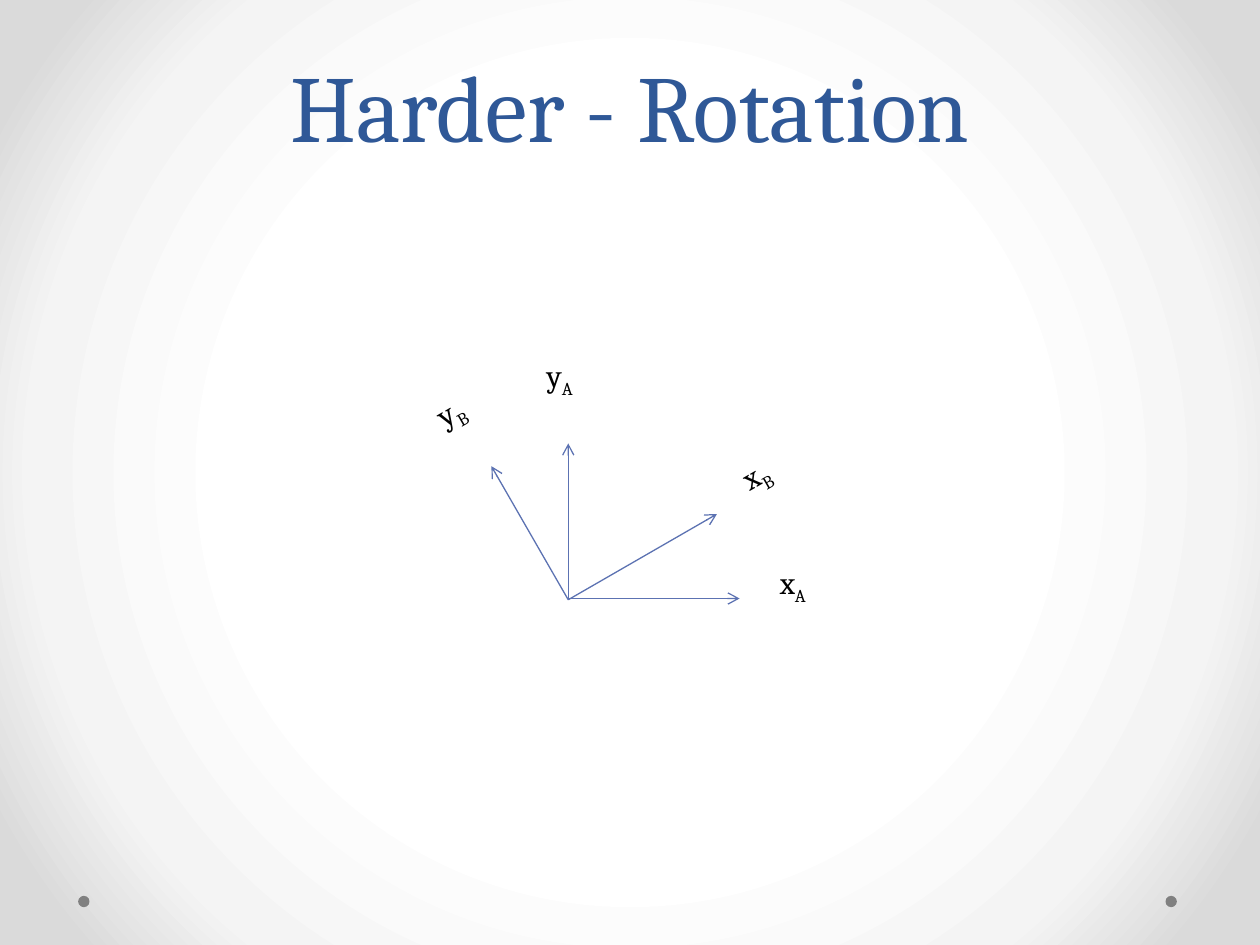
from typing import NamedTuple

from pptx import Presentation
from pptx.dml.color import RGBColor
from pptx.enum.shapes import MSO_CONNECTOR as Conn, MSO_SHAPE as Shape
from pptx.enum.text import MSO_ANCHOR as Anchor, PP_ALIGN as Align
from pptx.oxml import parse_xml
from pptx.oxml.ns import nsdecls
from pptx.oxml.xmlchemy import OxmlElement
from pptx.util import Inches, Pt

COLORS = {"title": "2F5897", "axis": "5C72B2", "label": "000000", "dot": "808080"}
BACKGROUND_STOPS = {50: "FFFFFF", 76: "F4F4F4", 92: "DADADA"}
FONT = "Cambria"


class Axis(NamedTuple):
    name: str
    frame: str
    start: tuple[float, float]
    tip: tuple[float, float]
    label_box: tuple[float, float, float, float]
    rotation: float = 0


ORIGIN_A, ORIGIN_B = (4.51, 4.75), (4.51, 4.76)
AXES = [
    Axis("y", "A", ORIGIN_A, (4.51, 3.52), (4.24, 2.78, 0.95, 0.68)),
    Axis("x", "A", ORIGIN_A, (5.87, 4.75), (6.09, 4.42, 1.22, 0.66)),
    Axis("y", "B", ORIGIN_B, (3.9, 3.7), (3.4, 2.91, 0.95, 0.68), 330),
    Axis("x", "B", ORIGIN_B, (5.69, 4.08), (5.8, 3.34, 1.22, 0.66), 330),
]


def rgb(name: str) -> RGBColor:
    return RGBColor.from_string(COLORS[name])


def set_background(s) -> None:
    stops = "".join(
        f'<a:gs pos="{pos * 1000}"><a:srgbClr val="{color}"/></a:gs>'
        for pos, color in BACKGROUND_STOPS.items()
    )
    bg = parse_xml(
        f'<p:bg {nsdecls("p", "a")}><p:bgPr><a:gradFill rotWithShape="1">'
        f'<a:gsLst>{stops}</a:gsLst><a:path path="circle">'
        '<a:fillToRect l="50000" t="50000" r="50000" b="50000"/></a:path>'
        "</a:gradFill><a:effectLst/></p:bgPr></p:bg>"
    )
    s.element.cSld.insert(0, bg)


def add_dot(s, left: float) -> None:
    sp = s.shapes.add_shape(
        Shape.OVAL, Inches(left), Inches(7.11), Inches(0.09), Inches(0.09)
    )
    sp.shadow.inherit = False
    sp.fill.solid()
    sp.fill.fore_color.rgb = rgb("dot")
    sp.line.fill.background()


def add_text_box(s, box: tuple[float, float, float, float]):
    sp = s.shapes.add_textbox(*map(Inches, box))
    sp.text_frame.word_wrap = True
    return sp


def add_run(p, text: str, size: float, color: str):
    r = p.add_run()
    r.text = text
    r.font.name = FONT
    r.font.size = Pt(size)
    r.font.color.rgb = rgb(color)
    return r


def add_title(s, text: str) -> None:
    tf = add_text_box(s, (0.5, 0, 9, 1.75)).text_frame
    tf.vertical_anchor = Anchor.MIDDLE
    p = tf.paragraphs[0]
    p.alignment = Align.CENTER
    p.line_spacing = Pt(58)
    add_run(p, text, 54, "title")


def add_arrow(s, axis: Axis) -> None:
    line = s.shapes.add_connector(
        Conn.STRAIGHT, *map(Inches, axis.start + axis.tip)
    )
    line.line.color.rgb = rgb("axis")
    line.line.width = Pt(0.75)
    head = OxmlElement("a:tailEnd")
    head.set("type", "arrow")
    line.line._get_or_add_ln().append(head)
    line._element.spPr.append(OxmlElement("a:effectLst"))


def add_axis_label(s, axis: Axis) -> None:
    sp = add_text_box(s, axis.label_box)
    sp.rotation = axis.rotation
    p = sp.text_frame.paragraphs[0]
    add_run(p, axis.name, 18, "label")
    sub = add_run(p, axis.frame, 18, "label")
    sub.font._element.set("baseline", "-25000")


def main() -> None:
    prs = Presentation()
    prs.slide_width, prs.slide_height = Inches(10), Inches(7.5)
    s = prs.slides.add_slide(prs.slide_layouts[6])

    # Backdrop and footer dots
    set_background(s)
    for left in (9.25, 0.62):
        add_dot(s, left)

    add_title(s, "Harder - Rotation")

    # Frame A and the rotated frame B
    for axis in AXES:
        add_arrow(s, axis)
        add_axis_label(s, axis)

    prs.save("out.pptx")


if __name__ == "__main__":
    main()
